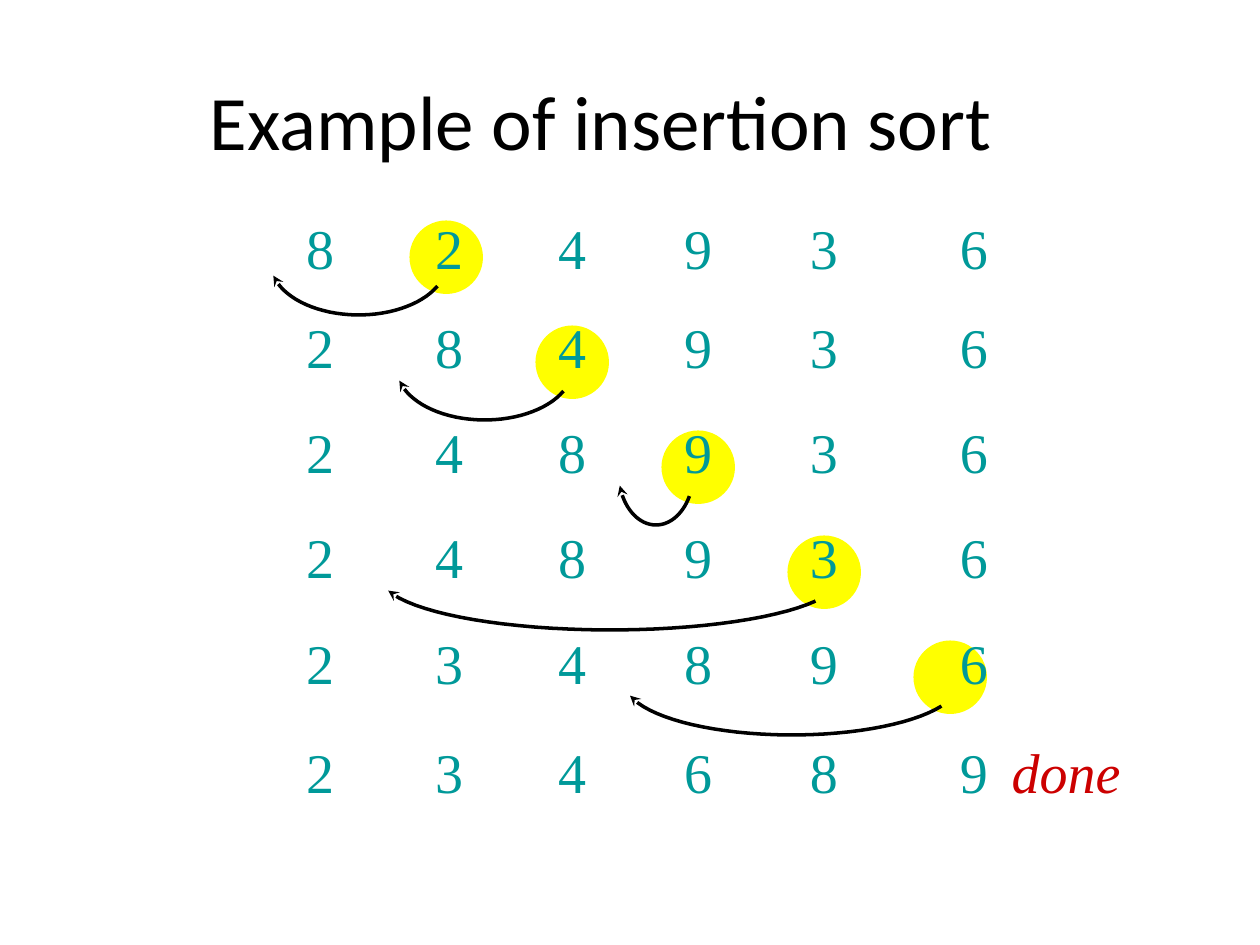
import math
import pptx
import pptx.util
import pptx.dml.color
import pptx.enum.shapes
import pptx.enum.text
import pptx.oxml.ns
from lxml import etree

Pt = pptx.util.Pt
RGBColor = pptx.dml.color.RGBColor
ALIGN = pptx.enum.text.PP_ALIGN
qn = pptx.oxml.ns.qn

BLACK = RGBColor(0x00, 0x00, 0x00)
YELLOW = RGBColor(0xFF, 0xFF, 0x00)
TEAL = RGBColor(0x00, 0x99, 0x99)
RED = RGBColor(0xCC, 0x00, 0x00)
NO_GRID_STYLE = "{2D5ABB26-0587-4C30-8999-92F81FD0307C}"

deck = pptx.Presentation()
deck.slide_width, deck.slide_height = Pt(720), Pt(540)
slide = deck.slides.add_slide(deck.slide_layouts[6])

CIRCLE_SIZE = 42
ARC_HEIGHT = 30
START_ANGLE = math.asin(0.45)
TIP_ANGLE = math.pi - math.asin(0.25)
ARC_STEPS = 32

for step, tip_x in enumerate([156.2, 228.2, 354.2, 221.8, 360]):
    left, top = 234 + 72 * step, 126 + 60 * step
    move = slide.shapes.add_group_shape()

    key_circle = move.shapes.add_shape(
        pptx.enum.shapes.MSO_SHAPE.OVAL, Pt(left), Pt(top), Pt(CIRCLE_SIZE), Pt(CIRCLE_SIZE))
    key_circle.shadow.inherit = False
    key_circle.fill.solid()
    key_circle.fill.fore_color.rgb = YELLOW
    key_circle.line.fill.background()

    start_x = left + 16
    radius = (start_x - tip_x) / (math.cos(START_ANGLE) - math.cos(TIP_ANGLE))
    center_x = start_x - radius * math.cos(START_ANGLE)
    center_y = top + 24
    arc_points = []
    for i in range(ARC_STEPS + 1):
        angle = START_ANGLE + (TIP_ANGLE - START_ANGLE) * i / ARC_STEPS
        arc_points.append((Pt(center_x + radius * math.cos(angle)),
                           Pt(center_y + ARC_HEIGHT * math.sin(angle))))
    outline = move.shapes.build_freeform(*arc_points[0])
    outline.add_line_segments(arc_points[1:], close=False)
    insert_arrow = outline.convert_to_shape()
    insert_arrow.shadow.inherit = False
    insert_arrow.fill.background()
    insert_arrow.line.color.rgb = BLACK
    insert_arrow.line.width = Pt(2)
    etree.SubElement(insert_arrow.line._get_or_add_ln(), qn("a:tailEnd"), type="stealth")

title = slide.shapes.add_textbox(Pt(120), Pt(40.5), Pt(477.5), Pt(54.5))
title_frame = title.text_frame
title_frame.word_wrap = True
title_frame.vertical_anchor = pptx.enum.text.MSO_ANCHOR.MIDDLE
title_frame.margin_left = title_frame.margin_right = title_frame.margin_bottom = 0
title_frame.margin_top = Pt(1)
title_frame.text = "Example of insertion sort"
title_font = title_frame.paragraphs[0].runs[0].font
title_font.name, title_font.size = "Calibri", Pt(44)
title_font.color.rgb = BLACK

column_widths = [56.9, 54, 9.4, 5, 64.8, 100, 44, 57.6, 78.5]
row_heights = [47.5, 60, 60, 63.4, 2.9, 54, 47.5]
passes = {
    0: "8 2 4 9 3 6",
    1: "2 8 4 9 3 6",
    2: "2 4 8 9 3 6",
    3: "2 4 8 9 3 6",
    5: "2 3 4 8 9 6",
    6: "2 3 4 6 8 9 done",
}
value_columns = [0, 1, 4, 5, 6, 7, 8]
alignments = {1: ALIGN.CENTER, 7: ALIGN.RIGHT}
indents = {0: 2.2, 4: 20.9, 5: 28.1, 8: 13.7}
line_spacings = {0: 34.9, 6: 37.9}
top_margins = {0: 0, 4: 0, 5: 2.9}

table = slide.shapes.add_table(
    len(row_heights), len(column_widths), Pt(172.8), Pt(126),
    Pt(sum(column_widths)), Pt(sum(row_heights))).table
table.first_row = table.horz_banding = False
table._tbl.tblPr.find(qn("a:tableStyleId")).text = NO_GRID_STYLE
for column, width in zip(table.columns, column_widths):
    column.width = Pt(width)

for r, height in enumerate(row_heights):
    table.rows[r].height = Pt(height)
    values = dict(zip(value_columns, passes.get(r, "").split()))
    for c in range(len(column_widths)):
        cell = table.cell(r, c)
        cell.fill.background()
        cell.margin_left = cell.margin_right = cell.margin_top = cell.margin_bottom = 0
        paragraph = cell.text_frame.paragraphs[0]
        if c not in values:
            etree.SubElement(paragraph._p, qn("a:endParaRPr"), sz="100")
            continue
        margin = top_margins.get(r, 8.8)
        cell.margin_top = Pt(margin)
        cell.margin_left = Pt(indents.get(c, 0))
        paragraph.text = values[c]
        paragraph.alignment = alignments.get(c, ALIGN.LEFT)
        paragraph.space_before = Pt(margin)
        if r in line_spacings:
            paragraph.line_spacing = Pt(line_spacings[r])
        font = paragraph.runs[0].font
        font.name, font.size = "Times New Roman", Pt(32)
        font.color.rgb = RED if c == 8 else TEAL
        font.italic = c == 8

deck.save("out.pptx")
